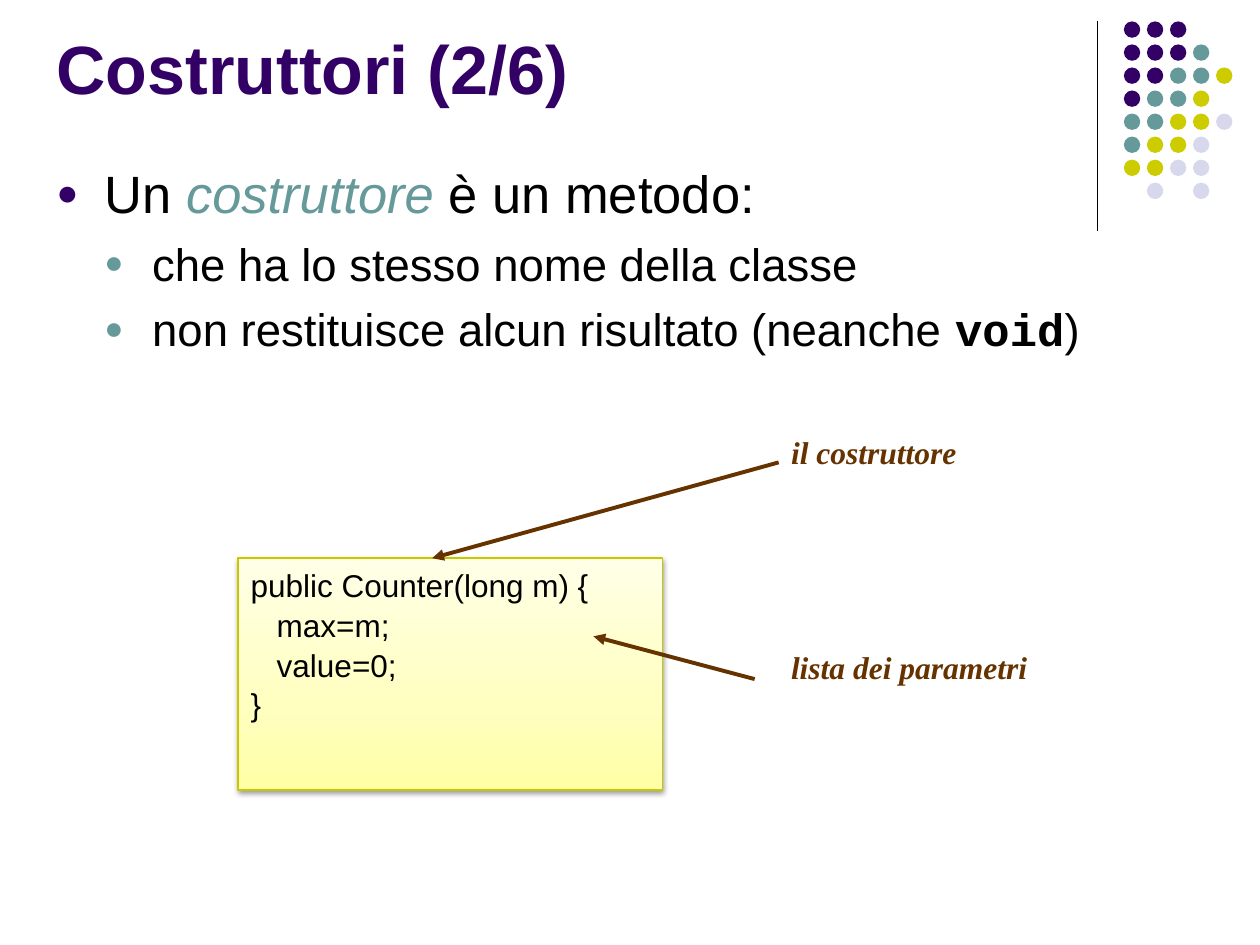
from pptx import Presentation
from pptx.dml.color import RGBColor
from pptx.enum.shapes import MSO_CONNECTOR, MSO_SHAPE
from pptx.enum.text import MSO_ANCHOR
from pptx.oxml import parse_xml
from pptx.oxml.ns import nsdecls
from pptx.util import Inches, Pt

PURPLE = RGBColor(0x33, 0x00, 0x66)
TEAL = RGBColor(0x66, 0x99, 0x99)
OLIVE = RGBColor(0xCC, 0xCC, 0x00)
LILAC = RGBColor(0xD8, 0xD8, 0xEC)
BROWN = RGBColor(0x66, 0x33, 0x00)
BLACK = RGBColor(0x00, 0x00, 0x00)
CODE_EDGE = RGBColor(0xC8, 0xC8, 0x00)
CODE_STOPS = [(0, RGBColor(0xFF, 0xFF, 0xA5)),
              (35, RGBColor(0xFF, 0xFF, 0xBF)),
              (100, RGBColor(0xFF, 0xFF, 0xE7))]

DOT_COLORS = {"P": PURPLE, "T": TEAL, "O": OLIVE, "L": LILAC}
DOT_ROWS = ["PPP", "PPPT", "PPTTO", "PTTO", "TTOOL", "TOOL", "OOLL", ".L.L"]
CODE = ["public Counter(long m) {", "   max=m;", "   value=0;", "}"]


def style(font, size, color, name="Arial", bold=False, italic=False):
    font.size = Pt(size)
    font.color.rgb = color
    font.name = name
    font.bold = bold
    font.italic = italic


def add_text(shapes, left, top, width, height):
    tb = shapes.add_textbox(Inches(left), Inches(top), Inches(width), Inches(height))
    tb.text_frame.word_wrap = True
    return tb


def add_line(shapes, x1, y1, x2, y2, color, width):
    line = shapes.add_connector(MSO_CONNECTOR.STRAIGHT, Inches(x1), Inches(y1),
                                Inches(x2), Inches(y2))
    line.line.color.rgb = color
    line.line.width = Pt(width)
    line._element.spPr.append(parse_xml(f'<a:effectLst {nsdecls("a")}/>'))
    return line


def add_arrow(shapes, x1, y1, x2, y2):
    arrow = add_line(shapes, x1, y1, x2, y2, BROWN, 2.25)
    arrow.line._get_or_add_ln().append(
        parse_xml(f'<a:tailEnd {nsdecls("a")} type="triangle"/>'))
    return arrow


def add_label(shapes, left, top, width, height, text):
    label = add_text(shapes, left, top, width, height)
    p = label.text_frame.paragraphs[0]
    p.text = text
    style(p.runs[0].font, 18, BROWN, "Times New Roman", True, True)
    return label


def add_decoration(s, left, top):
    add_line(s.shapes, left, top, left, top + 1.66, BLACK, 0.75)
    dots = s.shapes.add_group_shape().shapes
    pitch = 1.28 / 7
    for row, codes in enumerate(DOT_ROWS):
        for col, code in enumerate(codes):
            if code not in DOT_COLORS:
                continue
            dot = dots.add_shape(MSO_SHAPE.OVAL, Inches(left + 0.21 + col * pitch),
                                 Inches(top + row * pitch), Inches(0.13), Inches(0.13))
            dot.shadow.inherit = False
            dot.fill.solid()
            dot.fill.fore_color.rgb = DOT_COLORS[code]
            dot.line.fill.background()


def add_title(s, left, top, width, height):
    tf = add_text(s.shapes, left, top, width, height).text_frame
    tf.vertical_anchor = MSO_ANCHOR.BOTTOM
    tf.text = "Costruttori (2/6)"
    style(tf.paragraphs[0].runs[0].font, 39, PURPLE, bold=True)


def add_bullet(p, level, color):
    p.level = level
    pPr = p._p.get_or_add_pPr()
    pPr.set("marL", str(Inches(0.38 * (level + 1))))
    pPr.set("indent", str(Inches(-0.38)))
    for xml in (f'<a:buClr {nsdecls("a")}><a:srgbClr val="{color}"/></a:buClr>',
                f'<a:buSzPct {nsdecls("a")} val="70000"/>',
                f'<a:buFont {nsdecls("a")} typeface="Arial"/>',
                f'<a:buChar {nsdecls("a")} char="●"/>'):
        pPr.append(parse_xml(xml))


def add_body(s, left, top, width, height):
    tf = add_text(s.shapes, left, top, width, height).text_frame
    plain, term, code = {}, {"color": TEAL, "italic": True}, {"name": "Courier New", "bold": True}
    items = [
        (0, [("Un ", plain), ("costruttore", term), (" è un metodo:", plain)]),
        (1, [("che ha lo stesso nome della classe", plain)]),
        (1, [("non restituisce alcun risultato (neanche ", plain),
             ("void", code), (")", plain)]),
    ]
    for i, (level, runs) in enumerate(items):
        p = tf.add_paragraph() if i else tf.paragraphs[0]
        add_bullet(p, level, TEAL if level else PURPLE)
        if i:
            p.space_before = Pt(6.5)
        for text, look in runs:
            r = p.add_run()
            r.text = text
            style(r.font, **{"size": 26 if level else 30, "color": BLACK, **look})


def add_code_box(shapes, left, top, width, height):
    box = shapes.add_shape(MSO_SHAPE.RECTANGLE, Inches(left), Inches(top),
                           Inches(width), Inches(height))
    spPr = box._element.spPr
    stops = "".join(f'<a:gs pos="{pos * 1000}"><a:srgbClr val="{color}"/></a:gs>'
                    for pos, color in CODE_STOPS)
    spPr.append(parse_xml(f'<a:gradFill {nsdecls("a")} rotWithShape="1"><a:gsLst>{stops}'
                          '</a:gsLst><a:lin ang="16200000" scaled="1"/></a:gradFill>'))
    box.line.color.rgb = CODE_EDGE
    box.line.width = Pt(0.75)
    spPr.append(parse_xml(
        f'<a:effectLst {nsdecls("a")}><a:outerShdw blurRad="{Pt(3.1)}" dist="{Pt(1.6)}" '
        'dir="5400000" rotWithShape="0"><a:srgbClr val="000000"><a:alpha val="38000"/>'
        '</a:srgbClr></a:outerShdw></a:effectLst>'))
    tf = box.text_frame
    tf.word_wrap = True
    tf.vertical_anchor = MSO_ANCHOR.TOP
    tf.text = "\n".join(CODE)
    for p in tf.paragraphs:
        p.alignment = 1
        p.line_spacing = 1.05
        style(p.runs[0].font, 18, BLACK)


def add_diagram(s, left, top):
    shapes = s.shapes.add_group_shape().shapes
    label_left = left + 4.29
    add_code_box(shapes, left, top + 1.04, 3.37, 1.84)
    label = add_label(shapes, label_left, top, 1.75, 0.56, "il costruttore")
    arrow = add_arrow(shapes, label_left, top + 0.28, left + 1.54, top + 1.04)
    arrow.begin_connect(label, 1)
    add_arrow(shapes, left + 4.1, top + 2, left + 2.82, top + 1.66)
    add_label(shapes, label_left, top + 1.7, 2.43, 0.57, "lista dei parametri")


def main():
    prs = Presentation()
    prs.slide_width, prs.slide_height = Inches(10), Inches(7.5)
    s = prs.slides.add_slide(prs.slide_layouts[6])
    add_decoration(s, 8.71, 0.17)
    add_title(s, 0.35, -0.51, 8.25, 1.42)
    add_body(s, 0.35, 1.23, 9, 4.82)
    add_diagram(s, 1.89, 3.39)
    prs.save("out.pptx")


if __name__ == "__main__":
    main()
